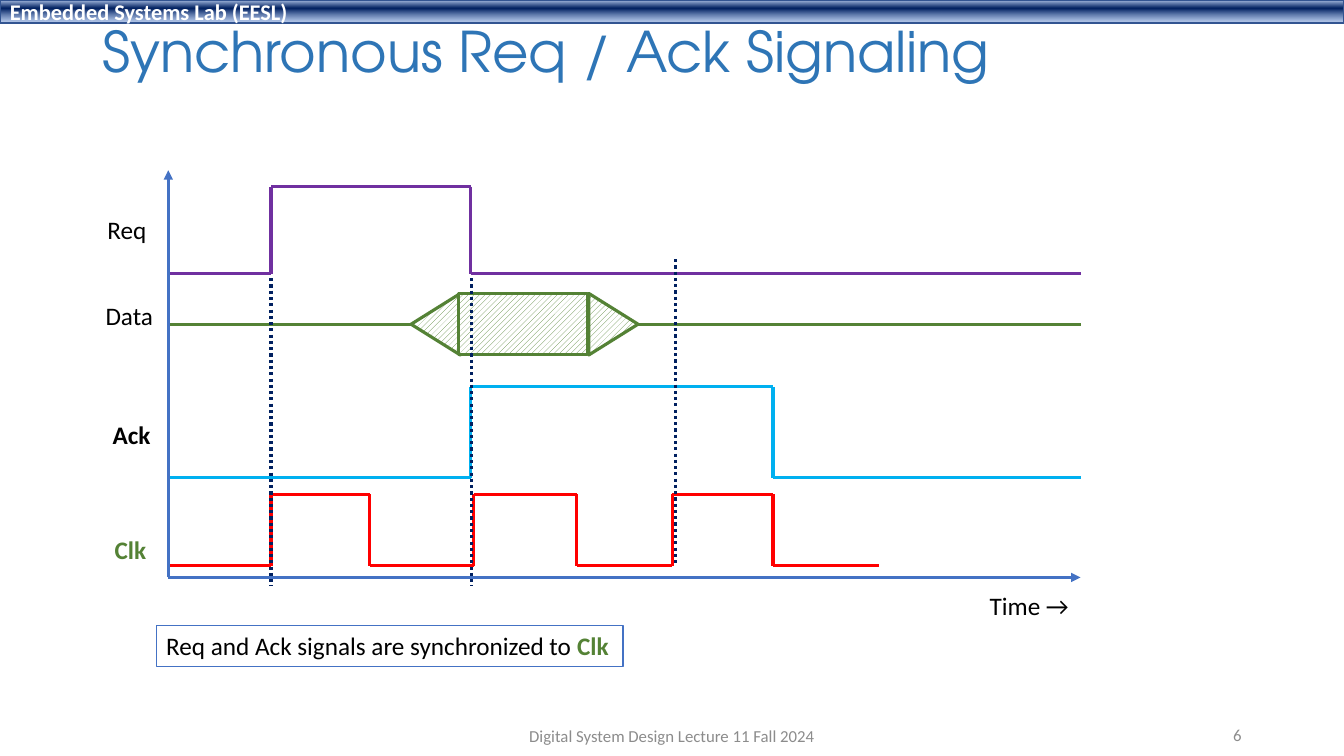
from lxml import etree
from pptx import Presentation
from pptx import util as u
from pptx.dml.color import RGBColor
from pptx.enum import dml, shapes, text
from pptx.oxml import parse_xml
from pptx.oxml.ns import nsdecls, qn

COLORS = {
    "title": "2E75B6", "clk": "FF0000", "ack": "00B0F0", "data": "548235",
    "req": "7030A0", "marker": "002060", "axis": "4472C4", "black": "000000",
    "white": "FFFFFF", "footer": "8C8C8C", "banner_line": "325491",
}
BANNER_STOPS = [(2, "ABC0E4", 100), (38, "002060", 100), (93, "7E9ED6", 64)]

ORIGIN_X, TIME_END, AXIS_Y, AXIS_TOP = 4.24, 27.23, 14.55, 4.29
WAVES = [
    {"color": "clk", "low": 14.25, "high": 12.45, "end": 22.15,
     "edges": [6.83, 9.32, 11.94, 14.53, 16.94, 19.48]},
    {"color": "ack", "low": 12.04, "high": 9.75, "end": TIME_END,
     "edges": [11.86, 19.48]},
    {"color": "req", "low": 6.9, "high": 4.7, "end": TIME_END,
     "edges": [6.83, 11.86]},
]
DATA_Y = 8.17
DATA_LINES = [(ORIGIN_X, 10.36), (16.08, TIME_END)]
DATA_PARTS = [
    (shapes.MSO_SHAPE.ISOSCELES_TRIANGLE, 10.98, 1.55, 1.24, 270),
    (shapes.MSO_SHAPE.RECTANGLE, 13.19, 3.25, 1.55, 0),
    (shapes.MSO_SHAPE.ISOSCELES_TRIANGLE, 15.46, 1.55, 1.24, 90),
]
MARKERS = [(6.83, 7.01, 14.76), (11.89, 7.01, 14.76), (17.02, 6.53, 14.25)]
LABELS = [
    ("Time →", 24.69, 14.76, 2.54, "black", False),
    ("Req", 2.46, 5.28, 1.5, "black", False),
    ("Data", 2.41, 7.44, 1.73, "black", False),
    ("Ack", 2.59, 10.44, 1.47, "black", True),
    ("Clk", 2.64, 13.34, 1.32, "data", True),
]
NOTE = [("Req and Ack signals are synchronized to ", "black", False),
        ("Clk", "data", True)]

presentation = Presentation()
presentation.slide_width, presentation.slide_height = u.Cm(33.87), u.Cm(19.05)
slide = presentation.slides.add_slide(presentation.slide_layouts[6])


def rgb(name):
    return RGBColor.from_string(COLORS[name])


def write(content, box=None, shape=None, size=18, font="Calibri", color="black",
          bold=False, align=text.PP_ALIGN.LEFT, anchor=text.MSO_ANCHOR.TOP,
          wrap=True, spacing=None):
    if shape is None:
        shape = slide.shapes.add_textbox(*map(u.Cm, box))
    frame = shape.text_frame
    frame.word_wrap = wrap
    frame.auto_size = (text.MSO_AUTO_SIZE.NONE if wrap
                       else text.MSO_AUTO_SIZE.SHAPE_TO_FIT_TEXT)
    frame.vertical_anchor = anchor
    paragraph = frame.paragraphs[0]
    paragraph.alignment = align
    paragraph.line_spacing = spacing
    runs = [(content, color, bold)] if isinstance(content, str) else content
    for words, run_color, run_bold in runs:
        run = paragraph.add_run()
        run.text = words
        run.font.name, run.font.size = font, u.Pt(size)
        run.font.bold = run_bold
        run.font.color.rgb = rgb(run_color)
    return shape


def draw_shape(kind, box, line, width):
    shape = slide.shapes.add_shape(kind, *map(u.Cm, box))
    shape.shadow.inherit = False
    shape.line.color.rgb = rgb(line)
    shape.line.width = u.Pt(width)
    return shape


def draw_line(start, end, color, dotted=False, arrow=False):
    connector = slide.shapes.add_connector(
        shapes.MSO_CONNECTOR.STRAIGHT, *map(u.Cm, (*start, *end)))
    connector.line.color.rgb = rgb(color)
    connector.line.width = u.Pt(2.25)
    if dotted:
        connector.line.dash_style = dml.MSO_LINE.ROUND_DOT
    if arrow:
        etree.SubElement(connector.line._get_or_add_ln(), qn("a:tailEnd"),
                         type="triangle")
    etree.SubElement(connector._element.spPr, qn("a:effectLst"))


def draw_wave(color, low, high, end, edges):
    points, level = [(ORIGIN_X, low)], low
    for edge in edges:
        points.append((edge, level))
        level = high if level == low else low
        points.append((edge, level))
    points.append((end, level))
    for start, stop in zip(points, points[1:]):
        draw_line(start, stop, color)


def draw_banner():
    banner = draw_shape(shapes.MSO_SHAPE.RECTANGLE, (0, 0, 33.87, 0.58),
                        "banner_line", 1)
    banner.fill.gradient()
    banner.fill.gradient_angle = 270
    stops = "".join(
        f'<a:gs pos="{place * 1000}"><a:srgbClr val="{color}">'
        f'<a:alpha val="{alpha * 1000}"/></a:srgbClr></a:gs>'
        for place, color, alpha in BANNER_STOPS)
    stop_list = banner._element.spPr.find(".//" + qn("a:gsLst"))
    stop_list.getparent().replace(
        stop_list, parse_xml(f'<a:gsLst {nsdecls("a")}>{stops}</a:gsLst>'))
    write("Embedded Systems Lab (EESL)", shape=banner, size=16, color="white",
          bold=True, anchor=text.MSO_ANCHOR.MIDDLE)


def draw_data():
    for start, end in DATA_LINES:
        draw_line((start, DATA_Y), (end, DATA_Y), "data")
    for kind, center, width, height, rotation in DATA_PARTS:
        box = (center - width / 2, DATA_Y - height / 2, width, height)
        part = draw_shape(kind, box, "data", 2.25)
        part.rotation = rotation
        part.fill.patterned()
        part.fill.pattern = dml.MSO_PATTERN.WIDE_UPWARD_DIAGONAL
        part.fill.fore_color.rgb = rgb("data")
        part.fill.back_color.rgb = rgb("white")


def main():
    middle = text.MSO_ANCHOR.MIDDLE
    draw_banner()
    write("Synchronous Req / Ack Signaling", (2.33, 0.38, 29.21, 1.96), size=40,
          font="TeX Gyre Adventor", color="title", anchor=middle, spacing=0.9)
    draw_data()
    for wave in WAVES:
        draw_wave(**wave)
    for x, top, bottom in MARKERS:
        draw_line((x, top), (x, bottom), "marker", dotted=True)
    for end in [(ORIGIN_X, AXIS_TOP), (TIME_END, AXIS_Y)]:
        draw_line((ORIGIN_X, AXIS_Y), end, "axis", arrow=True)
    for words, left, top, width, color, bold in LABELS:
        write(words, (left, top, width, 1.03), color=color, bold=bold, wrap=False)
    note = draw_shape(shapes.MSO_SHAPE.RECTANGLE, (3.94, 15.77, 11.76, 1.03),
                      "axis", 1)
    note.fill.solid()
    note.fill.fore_color.rgb = rgb("white")
    write(NOTE, shape=note, wrap=False)
    write("Digital System Design Lecture 11 Fall 2024", (11.22, 18.03, 11.43, 1.01),
          size=12, color="footer", align=text.PP_ALIGN.CENTER, anchor=middle)
    write("6", (23.92, 18.01, 7.62, 1.01), size=12, color="footer",
          align=text.PP_ALIGN.RIGHT, anchor=middle)
    presentation.save("out.pptx")


if __name__ == "__main__":
    main()
